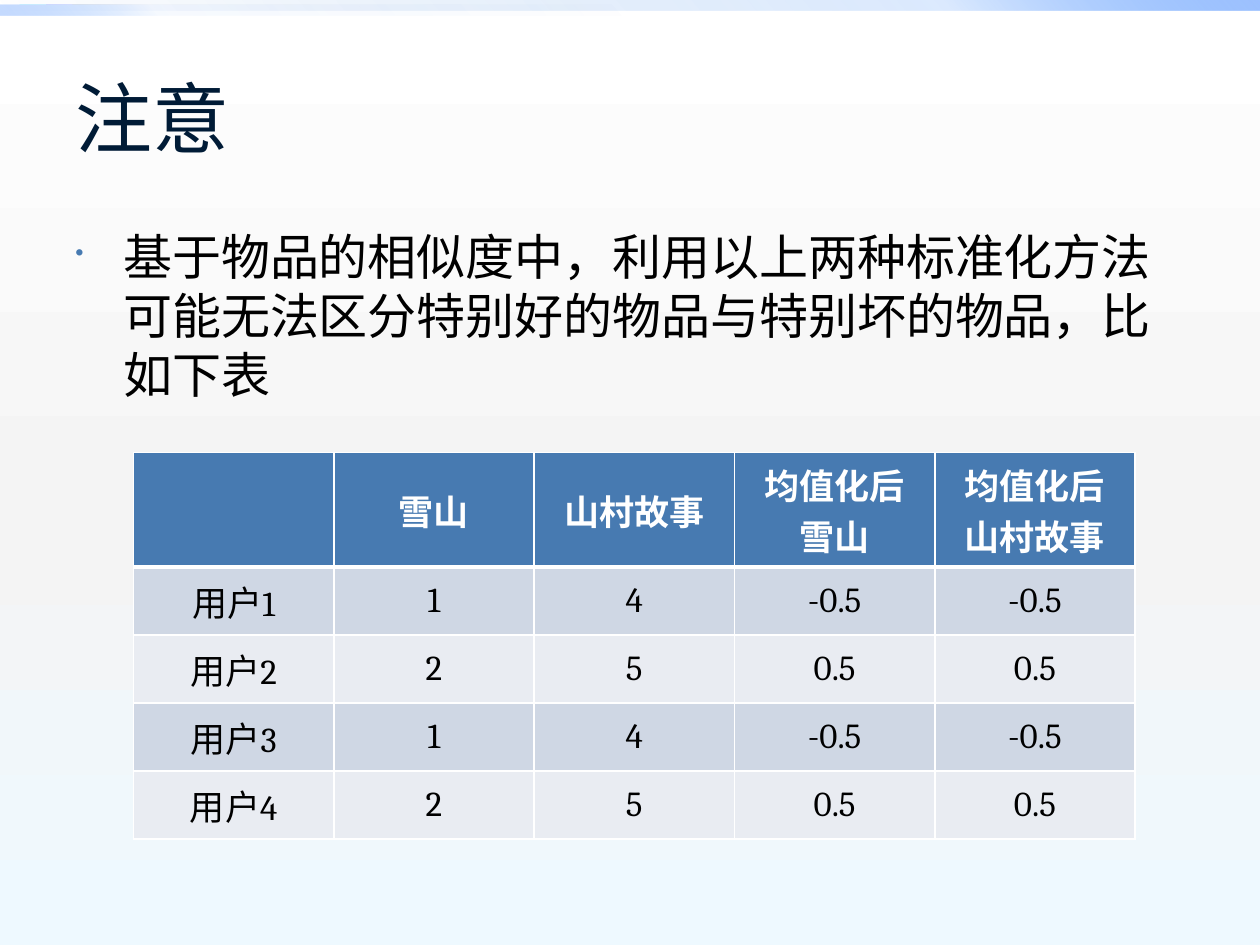
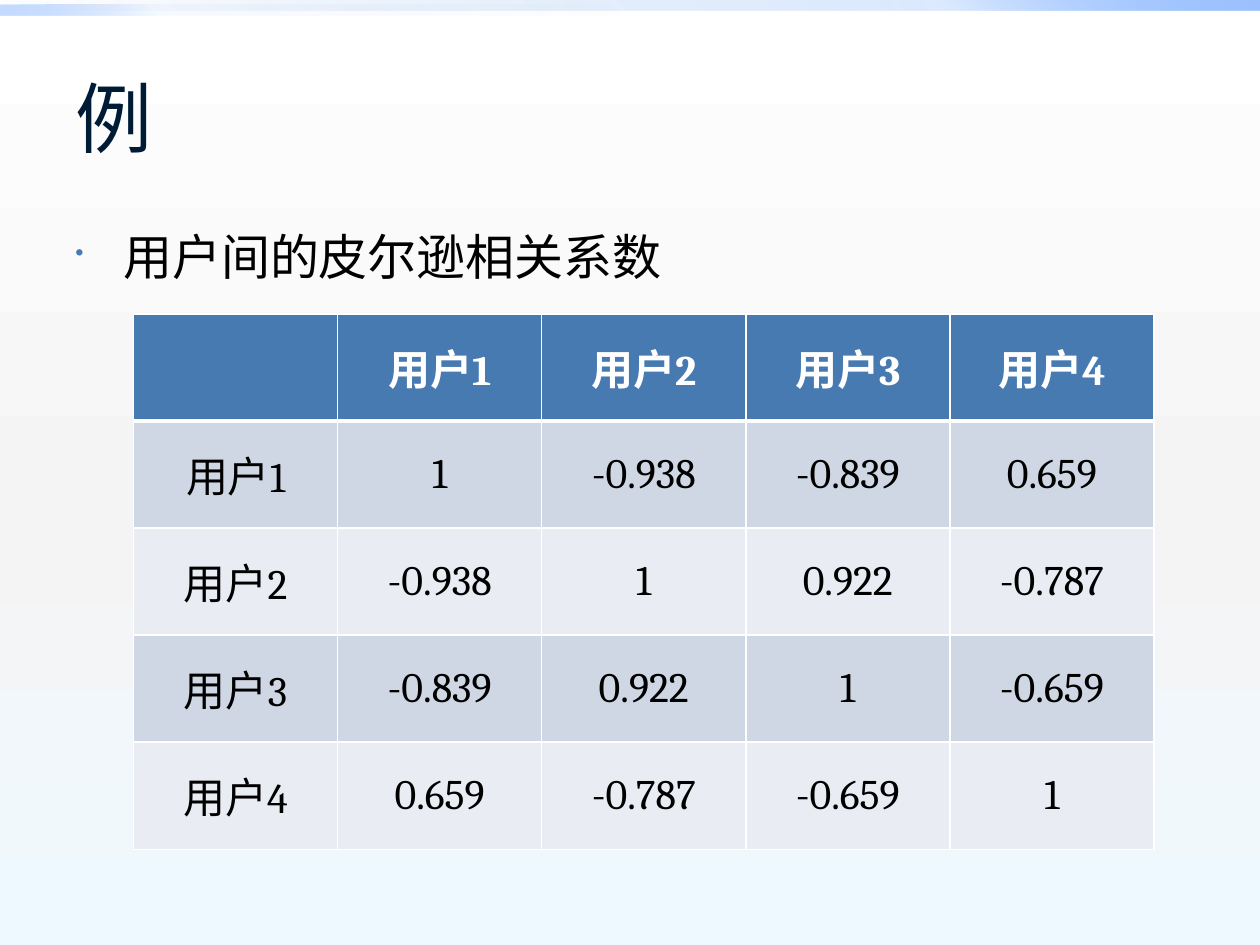
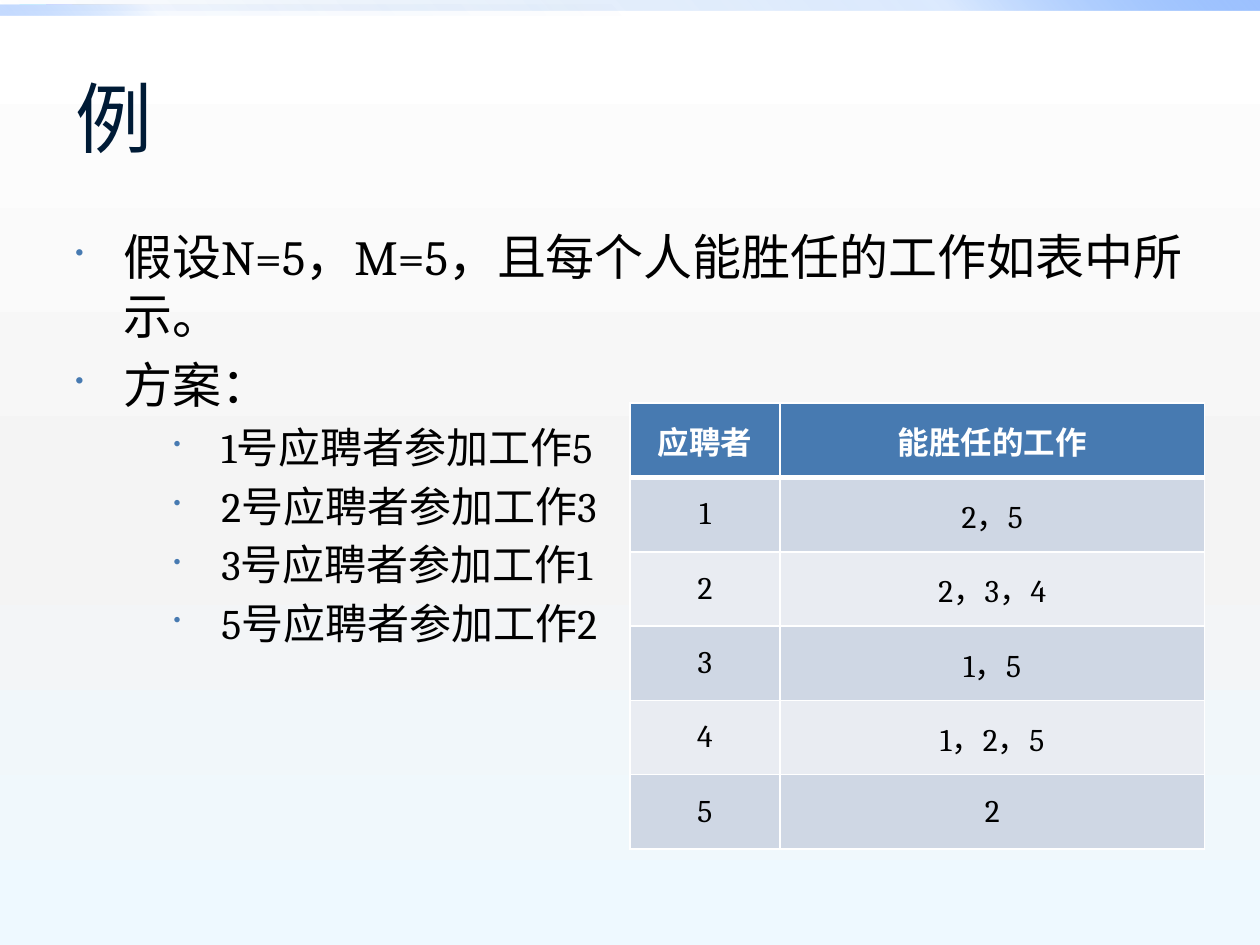
"""Build three slides on similarity and job assignment, each with a title, bullets and a table."""
from lxml import etree
from pptx import Presentation
from pptx.dml.color import RGBColor
from pptx.enum import shapes, text
from pptx.oxml import ns
from pptx.util import Inches, Pt

NAVY = RGBColor(0x00, 0x1B, 0x36)
BLUE = RGBColor(0x47, 0x7A, 0xB1)
BLACK = RGBColor(0x00, 0x00, 0x00)
WHITE = RGBColor(0xFF, 0xFF, 0xFF)
DARK_ROW = RGBColor(0xCF, 0xD7, 0xE4)
LIGHT_ROW = RGBColor(0xE9, 0xEC, 0xF2)
BAND_DEEP = RGBColor(0x00, 0x58, 0xB7)
BAND_MID = RGBColor(0x4F, 0x95, 0xFF)
BAND_PALE = RGBColor(0x9E, 0xC2, 0xFF)
GREY = RGBColor(0xF4, 0xF4, 0xF4)
ICE = RGBColor(0xEE, 0xF9, 0xFF)

TITLE_FONT = "Calibri"
BODY_FONT = "Cambria"
BULLET_SIZES = [28, 24]
BULLET_MARGINS = [0.38, 1.16]
HANGING = 0.38

BACKGROUND = [(0, WHITE, 100), (55, GREY, 100), (100, ICE, 100)]
BANDS = [
    (0, 10, 315, [(0, BAND_DEEP, 0), (75, BAND_MID, 20), (100, BAND_PALE, 100)]),
    (0.04, 5, 135, [(0, BAND_DEEP, 0), (75, BAND_MID, 5), (100, BAND_PALE, 60)]),
]

SLIDES = [
    {
        "title": "注意",
        "bullets": [(0, "基于物品的相似度中，利用以上两种标准化方法可能无法区分特别好的物品与特别坏的物品，比如下表")],
        "place": (1.06, 3.59), "columns": [1.59] * 5, "header": 0.91, "row": 0.54, "size": 20,
        "rows": [
            ["", "雪山", "山村故事", "均值化后雪山", "均值化后山村故事"],
            ["用户1", "1", "4", "-0.5", "-0.5"],
            ["用户2", "2", "5", "0.5", "0.5"],
            ["用户3", "1", "4", "-0.5", "-0.5"],
            ["用户4", "2", "5", "0.5", "0.5"],
        ],
    },
    {
        "title": "例",
        "bullets": [(0, "用户间的皮尔逊相关系数")],
        "place": (1.06, 2.49), "columns": [1.62] * 5, "header": 0.85, "row": 0.85, "size": 24,
        "rows": [
            ["", "用户1", "用户2", "用户3", "用户4"],
            ["用户1", "1", "-0.938", "-0.839", "0.659"],
            ["用户2", "-0.938", "1", "0.922", "-0.787"],
            ["用户3", "-0.839", "0.922", "1", "-0.659"],
            ["用户4", "0.659", "-0.787", "-0.659", "1"],
        ],
    },
    {
        "title": "例",
        "bullets": [
            (0, "假设N=5，M=5，且每个人能胜任的工作如表中所示。"),
            (0, "方案："),
            (1, "1号应聘者参加工作5"),
            (1, "2号应聘者参加工作3"),
            (1, "3号应聘者参加工作1"),
            (1, "5号应聘者参加工作2"),
        ],
        "place": (5, 3.2), "columns": [1.19, 3.37], "header": 0.59, "row": 0.59, "size": 18,
        "rows": [
            ["应聘者", "能胜任的工作"],
            ["1", "2，5"],
            ["2", "2，3，4"],
            ["3", "1，5"],
            ["4", "1，2，5"],
            ["5", "2"],
        ],
    },
]


def add_node(parent, tag, **attributes):
    return etree.SubElement(parent, ns.qn(tag), {key: str(value) for key, value in attributes.items()})


def set_gradient(element, stops, angle):
    gradient = element.find(".//" + ns.qn("a:gradFill"))
    for child in list(gradient):
        gradient.remove(child)
    stop_list = add_node(gradient, "a:gsLst")
    for position, color, opacity in stops:
        stop = add_node(stop_list, "a:gs", pos=position * 1000)
        tint = add_node(stop, "a:srgbClr", val=color)
        if opacity < 100:
            add_node(tint, "a:alpha", val=opacity * 1000)
    add_node(gradient, "a:lin", ang=angle * 60000, scaled=0)


deck = Presentation()
deck.slide_width = Inches(10)
deck.slide_height = Inches(7.5)

for content in SLIDES:
    page = deck.slides.add_slide(deck.slide_layouts[6])
    page.background.fill.gradient()
    set_gradient(page.background._cSld, BACKGROUND, 90)

    for top, width, angle, stops in BANDS:
        band = page.shapes.add_shape(
            shapes.MSO_SHAPE.RECTANGLE, 0, Inches(top), Inches(width), Inches(0.08))
        band.shadow.inherit = False
        band.line.fill.background()
        band.fill.gradient()
        set_gradient(band._element, stops, angle)

    title = page.shapes.add_textbox(Inches(0.5), Inches(0.3), Inches(9), Inches(1.25)).text_frame
    title.word_wrap = True
    title.vertical_anchor = text.MSO_ANCHOR.MIDDLE
    title.text = content["title"]
    title_font = title.paragraphs[0].runs[0].font
    title_font.name = TITLE_FONT
    title_font.size = Pt(44)
    title_font.color.rgb = NAVY

    body = page.shapes.add_textbox(Inches(0.5), Inches(1.75), Inches(9), Inches(4.95)).text_frame
    body.word_wrap = True
    body.text = "\n".join(line for level, line in content["bullets"])
    for para, (level, line) in zip(body.paragraphs, content["bullets"]):
        size = BULLET_SIZES[level]
        para.space_before = Pt(size * 0.2)
        para.font.size = Pt(size)
        span = para.runs[0]
        span.font.name = BODY_FONT
        span.font.size = Pt(size)
        span.font.color.rgb = BLACK
        properties = para._p.get_or_add_pPr()
        properties.set("marL", str(Inches(BULLET_MARGINS[level])))
        properties.set("indent", str(Inches(-HANGING)))
        bullet_color = etree.Element(ns.qn("a:buClr"))
        add_node(bullet_color, "a:srgbClr", val=BLUE)
        properties.find(ns.qn("a:spcBef")).addnext(bullet_color)
        bullet_size = etree.Element(ns.qn("a:buSzPct"), val="50000")
        bullet_color.addnext(bullet_size)
        bullet_size.addnext(etree.Element(ns.qn("a:buChar"), char="•"))

    rows, columns = content["rows"], content["columns"]
    heights = [content["header"]] + [content["row"]] * (len(rows) - 1)
    left, top = content["place"]
    table = page.shapes.add_table(
        len(rows), len(columns), Inches(left), Inches(top),
        Inches(sum(columns)), Inches(sum(heights))).table
    for column, width in zip(table.columns, columns):
        column.width = Inches(width)
    for row_index, values in enumerate(rows):
        header = row_index == 0
        table.rows[row_index].height = Inches(heights[row_index])
        for column_index, value in enumerate(values):
            cell = table.cell(row_index, column_index)
            cell.vertical_anchor = text.MSO_ANCHOR.MIDDLE
            for side in ("L", "R", "T", "B"):
                thick = (header and side == "B") or (row_index == 1 and side == "T")
                border = add_node(cell._tc.get_or_add_tcPr(), "a:ln" + side, w=Pt(3 if thick else 1))
                add_node(add_node(border, "a:solidFill"), "a:srgbClr", val=WHITE)
            cell.fill.solid()
            cell.fill.fore_color.rgb = BLUE if header else DARK_ROW if row_index % 2 else LIGHT_ROW
            cell.text_frame.text = value
            para = cell.text_frame.paragraphs[0]
            para.alignment = text.PP_ALIGN.CENTER
            for span in para.runs:
                span.font.name = BODY_FONT
                span.font.size = Pt(content["size"])
                span.font.bold = header
                span.font.color.rgb = WHITE if header else BLACK

deck.save("out.pptx")
